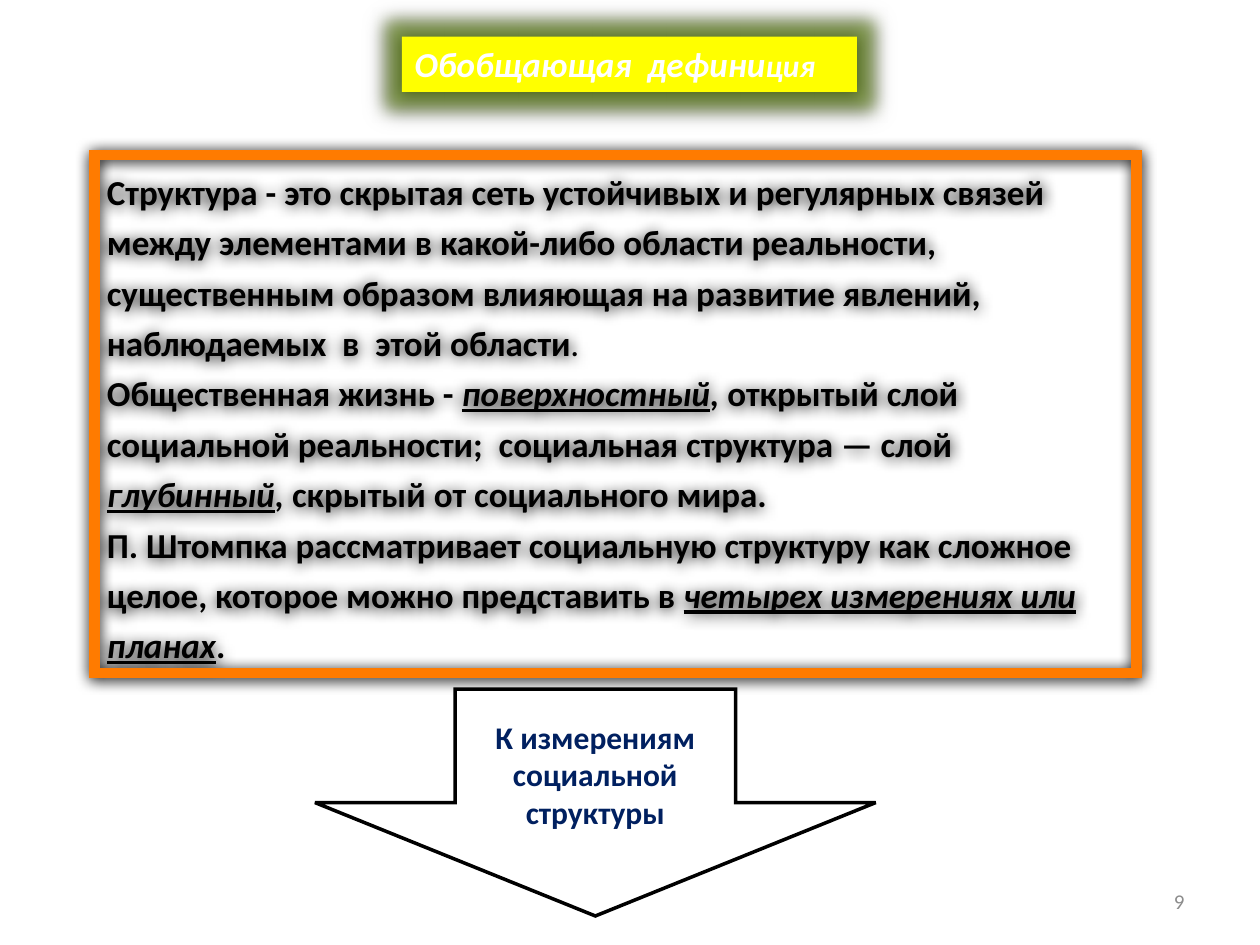
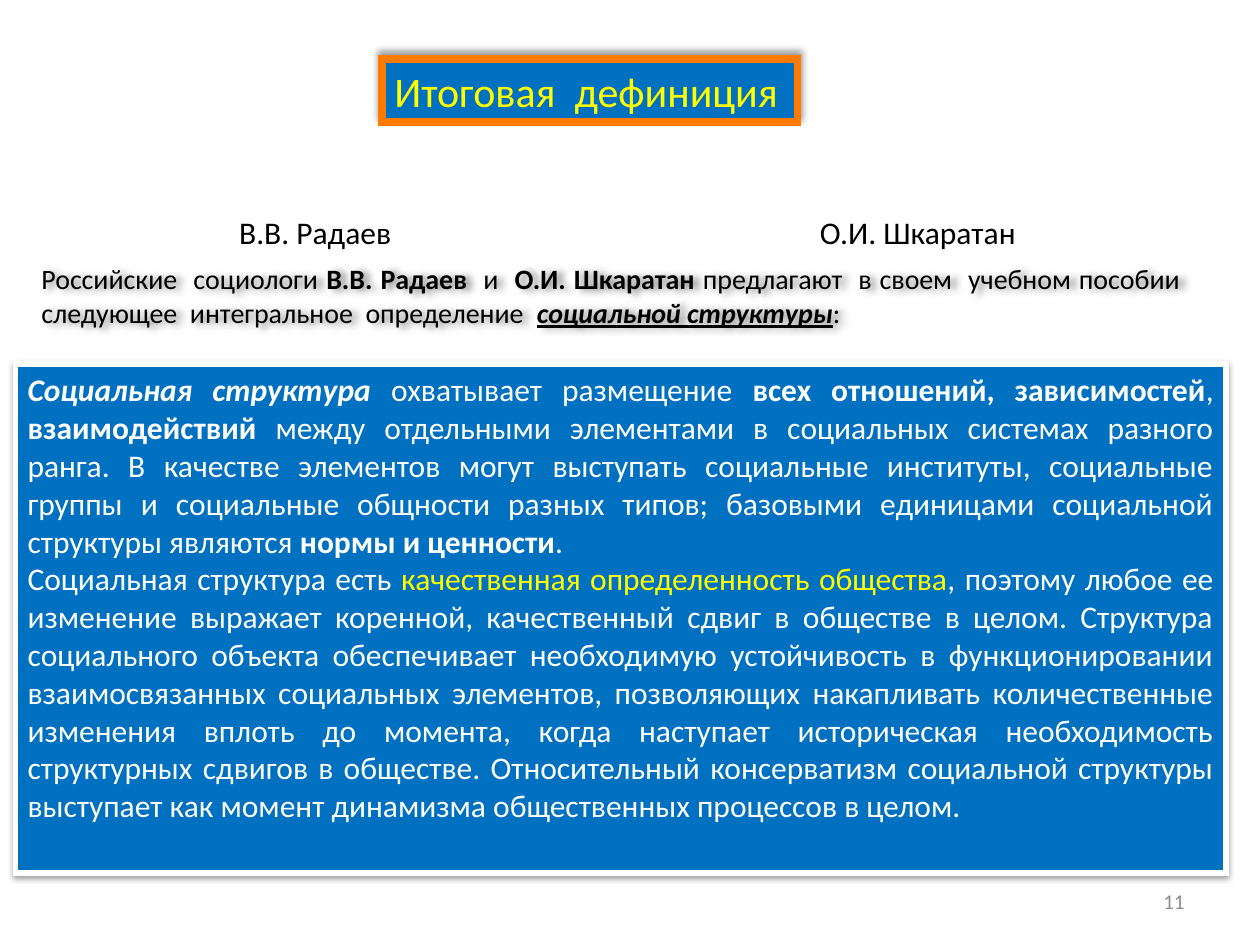
"""Builds two slides with definitions of social structure."""
from lxml.etree import SubElement
from pptx import Presentation
from pptx.dml.color import RGBColor
from pptx.enum.shapes import MSO_SHAPE
from pptx.enum.text import MSO_ANCHOR, MSO_AUTO_SIZE, PP_ALIGN
from pptx.oxml.ns import qn
from pptx.util import Inches, Pt

BLACK = RGBColor(0x00, 0x00, 0x00)
WHITE = RGBColor(0xFF, 0xFF, 0xFF)
YELLOW = RGBColor(0xFF, 0xFF, 0x00)
ORANGE = RGBColor(0xFF, 0x7B, 0x00)
BLUE = RGBColor(0x00, 0x70, 0xC0)
NAVY = RGBColor(0x00, 0x20, 0x60)
GREEN = RGBColor(0x7F, 0xA5, 0x2F)
GREY = RGBColor(0x8C, 0x8C, 0x8C)

BOLD = {"bold": True}
ITALIC = {"italic": True}
UNDERLINED = {"italic": True, "underline": True}
DEEP_SHADOW = (100, 8.5, 1, 90)


class Deck:
    """Holds the style and the current slide, on a grid of 100 columns by 75 rows."""

    font_name = "Calibri"
    columns, rows = 100, 75

    def __init__(self):
        self.presentation = Presentation()
        self.presentation.slide_width = Inches(10)
        self.presentation.slide_height = Inches(7.5)
        self.slide = None

    def place(self, left, top, width, height):
        """Turns columns and rows into lengths."""
        column = self.presentation.slide_width / self.columns
        row = self.presentation.slide_height / self.rows
        return [round(share * unit) for share, unit in
                zip((left, top, width, height), (column, row, column, row))]

    def add_slide(self, number):
        """Starts a title-only slide with its number in the corner."""
        self.slide = self.presentation.slides.add_slide(self.presentation.slide_layouts[5])
        self.label((71.7, 69.5, 23.3, 4), number, size=12, color=GREY,
                   align=PP_ALIGN.RIGHT, anchor=MSO_ANCHOR.MIDDLE)

    def title(self, area, content, fill, line=None, shadow=None, glow=None, **text_style):
        """Moves and formats the title placeholder."""
        shape = self.slide.shapes.title
        shape.left, shape.top, shape.width, shape.height = self.place(*area)
        self.paint(shape, fill, line)
        self.effects(shape, shadow, glow)
        self.fill_text(shape, [content], **text_style)

    def panel(self, area, paragraphs, kind=MSO_SHAPE.RECTANGLE, fill=None, line=None,
              shadow=None, **text_style):
        """Adds a preset shape with text."""
        shape = self.slide.shapes.add_shape(kind, *self.place(*area))
        self.paint(shape, fill, line)
        self.effects(shape, shadow)
        self.fill_text(shape, paragraphs, **text_style)

    def label(self, area, content, shadow=None, **text_style):
        """Adds a text box of one paragraph."""
        shape = self.slide.shapes.add_textbox(*self.place(*area))
        self.effects(shape, shadow)
        self.fill_text(shape, [content], **text_style)

    def paint(self, shape, fill, line):
        """Sets the fill and the outline, given as colour and width."""
        if fill is None:
            shape.fill.background()
        else:
            shape.fill.solid()
            shape.fill.fore_color.rgb = fill
        if line is None:
            shape.line.fill.background()
        else:
            color, width = line
            shape.line.color.rgb = color
            shape.line.width = Pt(width)
            outline = shape._element.spPr.find(qn("a:ln"))
            SubElement(outline, qn("a:miter"), lim="800000")

    def effects(self, shape, shadow=None, glow=None):
        """Adds a glow (colour, opacity, radius) and a shadow (opacity, blur, distance, angle)."""
        shape.shadow.inherit = False
        effect_list = shape._element.spPr.find(qn("a:effectLst"))
        if glow:
            color, opacity, radius = glow
            element = SubElement(effect_list, qn("a:glow"), rad=str(Pt(radius)))
            self.effect_color(element, color, opacity)
        if shadow:
            opacity, blur, distance, angle = shadow
            element = SubElement(effect_list, qn("a:outerShdw"), blurRad=str(Pt(blur)),
                                 dist=str(Pt(distance)), dir=str(angle * 60000),
                                 algn="ctr", rotWithShape="0")
            self.effect_color(element, BLACK, opacity)

    def effect_color(self, element, color, opacity):
        """Gives an effect its colour and opacity in percent."""
        choice = SubElement(element, qn("a:srgbClr"), val=str(color))
        SubElement(choice, qn("a:alpha"), val=str(opacity * 1000))

    def fill_text(self, shape, paragraphs, align=PP_ALIGN.LEFT, anchor=MSO_ANCHOR.TOP,
                  spacing=1.0, **font_style):
        """Fills a shape with paragraphs, each a string or a list of strings and styled runs."""
        frame = shape.text_frame
        frame.word_wrap = True
        frame.auto_size = MSO_AUTO_SIZE.NONE
        frame.vertical_anchor = anchor
        for index, content in enumerate(paragraphs):
            paragraph = frame.add_paragraph() if index else frame.paragraphs[0]
            paragraph.alignment = align
            paragraph.line_spacing = spacing
            paragraph.font.name = self.font_name
            self.style_font(paragraph.font, **font_style)
            for part in [content] if isinstance(content, str) else content:
                text, style = (part, {}) if isinstance(part, str) else part
                run = paragraph.add_run()
                run.text = text
                self.style_font(run.font, **style)

    def style_font(self, font, size=None, color=None, bold=None, italic=None, underline=None):
        """Sets the given properties on a font."""
        if size:
            font.size = Pt(size)
        if color is not None:
            font.color.rgb = color
        font.bold = bold
        font.italic = italic
        font.underline = underline


def add_general_definition(deck):
    """Builds the slide with the generalising definition."""
    deck.add_slide("9")
    deck.title((31.9, 2.9, 36.1, 4.4), ["Обобщающая  дефини", ("ция", {"size": 18})],
               fill=YELLOW, shadow=DEEP_SHADOW, glow=(GREEN, 60, 18),
               size=20, color=WHITE, bold=True, italic=True)
    deck.panel((7.5, 12.3, 82.7, 41.1), [
        ["Структура - это скрытая сеть устойчивых и регулярных связей между элементами "
         "в какой-либо области реальности, существенным образом влияющая на развитие "
         "явлений, наблюдаемых  в  этой области", (".", {"bold": False, "italic": True})],
        ["Общественная жизнь - ", ("поверхностный", UNDERLINED), (", ", ITALIC),
         "открытый слой социальной реальности;  социальная структура — слой ",
         ("глубинный", UNDERLINED), (", ", ITALIC), "скрытый от социального мира."],
        ["П. Штомпка рассматривает социальную структуру как сложное целое, которое "
         "можно представить в ", ("четырех измерениях или планах", UNDERLINED), "."],
    ], line=(ORANGE, 6), shadow=DEEP_SHADOW, anchor=MSO_ANCHOR.MIDDLE, spacing=1.2,
        size=20, color=BLACK, bold=True)
    deck.panel((25, 54.7, 44.5, 18), ["К измерениям социальной структуры"],
               kind=MSO_SHAPE.DOWN_ARROW, fill=WHITE, line=(BLACK, 2),
               align=PP_ALIGN.CENTER, anchor=MSO_ANCHOR.MIDDLE,
               size=18, color=NAVY, bold=True)


def add_final_definition(deck):
    """Builds the slide with the final definition and its two authors."""
    deck.add_slide("11")
    deck.title((30.3, 4.7, 33, 5), "Итоговая  дефиниция", fill=BLUE, line=(ORANGE, 4.5),
               shadow=(40, 4, 3, 270), size=24, color=YELLOW)
    deck.panel((1.2, 28.9, 96.1, 40.4), [
        [("Социальная структура ", BOLD | ITALIC), "охватывает размещение ",
         ("всех отношений, зависимостей", BOLD), ", ", ("взаимодействий", BOLD),
         " между отдельными элементами в социальных системах разного ранга. В качестве "
         "элементов могут выступать социальные институты, социальные группы и социальные "
         "общности разных типов; базовыми единицами социальной структуры являются ",
         ("нормы и ценности", BOLD), ". "],
        ["Социальная структура есть ",
         ("качественная определенность общества", {"color": YELLOW}),
         ", поэтому любое ее изменение выражает коренной, качественный сдвиг в обществе "
         "в целом. Структура социального объекта обеспечивает необходимую устойчивость в "
         "функционировании взаимосвязанных социальных элементов, позволяющих накапливать "
         "количественные изменения вплоть до момента, когда наступает историческая "
         "необходимость структурных сдвигов в обществе. Относительный консерватизм "
         "социальной структуры выступает как момент динамизма общественных процессов "
         "в целом."],
    ], fill=BLUE, line=(WHITE, 3), shadow=(38, 3.1, 1.6, 90),
        align=PP_ALIGN.JUSTIFY, size=18, color=WHITE)
    deck.label((2.3, 20.3, 93, 6.4), [
        "Российские  социологи ", ("В.В. Радаев  ", BOLD), "и  ", ("О.И. Шкаратан ", BOLD),
        "предлагают  в своем  учебном пособии  следующее  интегральное  определение  ",
        ("социальной структуры", BOLD | UNDERLINED), ":",
    ], shadow=(50, 4, 3, 0), align=PP_ALIGN.JUSTIFY, size=16, color=BLACK)
    for left, width, author in ((18, 15.6, "В.В. Радаев"), (64.1, 18, "О.И. Шкаратан")):
        deck.label((left, 16.4, width, 4), author, size=18, color=BLACK)


def main():
    """Builds and saves the presentation."""
    deck = Deck()
    add_general_definition(deck)
    add_final_definition(deck)
    deck.presentation.save("out.pptx")


if __name__ == "__main__":
    main()
